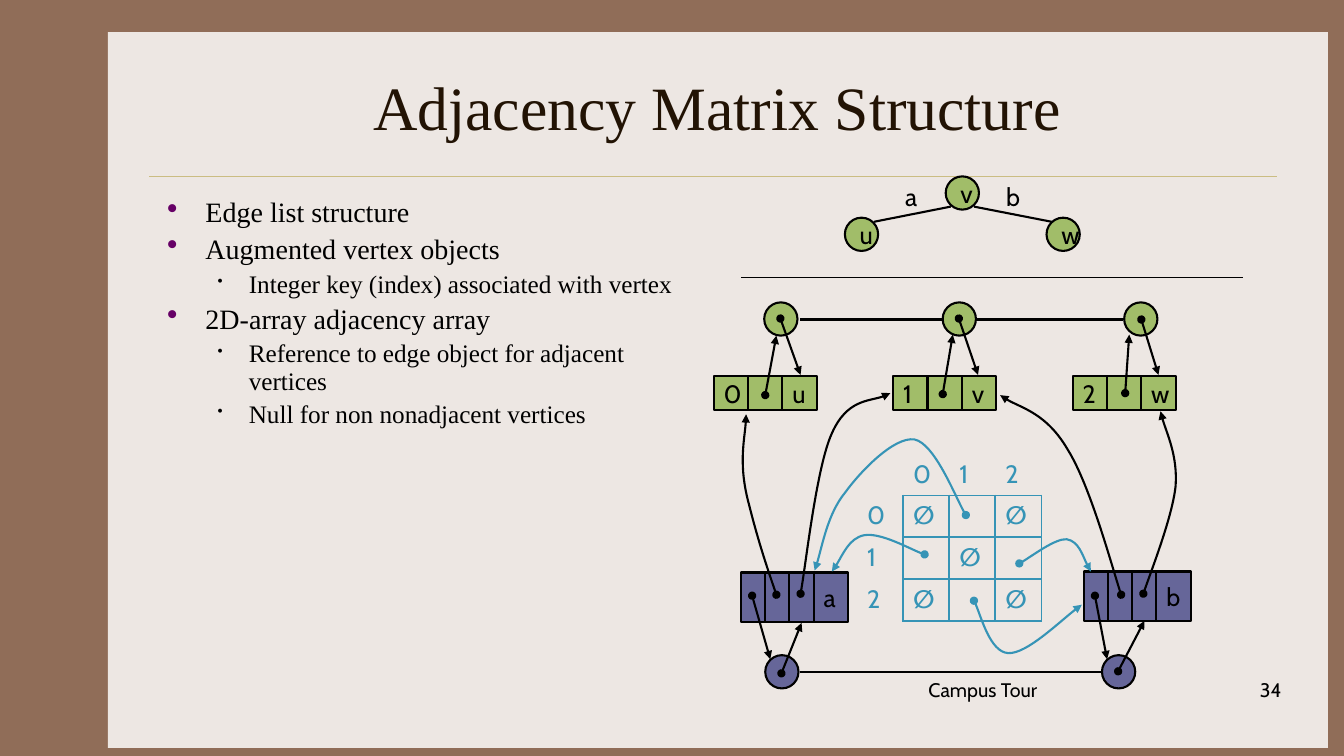
from itertools import product
from lxml.etree import SubElement
from pptx import Presentation
from pptx.dml.color import RGBColor
from pptx.enum.shapes import MSO_CONNECTOR, MSO_SHAPE
from pptx.enum.text import MSO_ANCHOR, PP_ALIGN
from pptx.oxml.ns import qn
from pptx.util import Inches, Pt

BROWN = RGBColor(0x90, 0x6D, 0x58)
CREAM = RGBColor(0xED, 0xE7, 0xE3)
GOLD = RGBColor(0xCB, 0xBD, 0x83)
TITLE_BROWN = RGBColor(0x22, 0x13, 0x04)
PURPLE = RGBColor(0x66, 0x00, 0x66)
BLACK = RGBColor(0x00, 0x00, 0x00)
GREEN = RGBColor(0xA1, 0xBD, 0x69)
VIOLET = RGBColor(0x66, 0x66, 0x99)
BLUE = RGBColor(0x36, 0x94, 0xB6)

SERIF = "Times New Roman"
SANS = "Cabin"
CIRCLE = 0.33
VERTEX_CELL = 0.34
EDGE_CELL = 0.24
PLAIN_TABLE = "{2D5ABB26-0587-4C30-8999-92F81FD0307C}"

BULLETS = [
    (0, "Edge list structure"),
    (0, "Augmented vertex objects"),
    (1, "Integer key (index) associated with vertex"),
    (0, "2D-array adjacency array"),
    (1, "Reference to edge object for adjacent vertices"),
    (1, "Null for non nonadjacent vertices"),
]
BULLET_LEVELS = [
    (0.38, -0.38, PURPLE, 110, 20, 4.6),
    (0.81, -0.31, BLACK, 60, 18, 4.2),
]
MATRIX = [
    ["", "0", "1", "2"],
    ["0", "∅", "", "∅"],
    ["1", "", "∅", ""],
    ["2", "∅", "", "∅"],
]
POINTERS = [
    ((7.75, 6.68), (7.95, 6.18)),
    ((11.09, 6.66), (11.35, 6.16)),
    ((7.74, 3.16), (7.94, 3.72)),
    ((9.51, 3.16), (9.7, 3.72)),
    ((11.32, 3.17), (11.49, 3.72)),
    ((7.59, 3.92), (7.7, 3.33)),
    ((9.35, 3.91), (9.45, 3.32)),
    ((11.16, 3.9), (11.2, 3.32)),
    ((7.46, 5.91), (7.64, 6.54)),
    ((10.86, 5.91), (10.98, 6.54)),
]
VERTEX_CURVES = [
    [(7.94, 5.89), (7.99, 5.62), (8.1, 4.63), (8.25, 4.3),
     (8.4, 3.96), (8.71, 3.98), (8.83, 3.9)],
    [(7.7, 5.9), (7.65, 5.75), (7.53, 5.41), (7.43, 5.01),
     (7.32, 4.61), (7.4, 4.3), (7.4, 4.11)],
    [(11.12, 5.9), (11.04, 5.66), (10.81, 4.81), (10.59, 4.46),
     (10.38, 4.1), (10.06, 4.03), (9.92, 3.92)],
    [(11.34, 5.89), (11.4, 5.71), (11.63, 5.12), (11.66, 4.82),
     (11.68, 4.52), (11.54, 4.23), (11.51, 4.08)],
]
MATRIX_CURVES = [
    [(9.17, 5.5), (9.07, 5.47), (8.73, 5.28), (8.57, 5.31),
     (8.42, 5.34), (8.32, 5.59), (8.25, 5.67)],
    [(9.58, 5.11), (9.5, 4.99), (9.27, 4.4), (9.07, 4.36), (8.87, 4.33),
     (8.54, 4.67), (8.38, 4.89), (8.21, 5.1), (8.14, 5.5), (8.08, 5.66)],
    [(10.11, 5.59), (10.19, 5.55), (10.47, 5.34), (10.58, 5.35),
     (10.7, 5.37), (10.77, 5.6), (10.82, 5.67)],
    [(9.66, 5.96), (9.71, 6.04), (9.82, 6.47), (10, 6.48),
     (10.18, 6.49), (10.58, 6.1), (10.73, 6)],
]


def set_font(font, size, color=BLACK, name=SANS, bold=False):
    font.size, font.name, font.bold = Pt(size), name, bold
    font.color.rgb = color


def add_text(page, area, text, size, color=BLACK, name=SANS,
             align=PP_ALIGN.LEFT, anchor=MSO_ANCHOR.TOP, wrap=True):
    frame = page.shapes.add_textbox(*map(Inches, area)).text_frame
    frame.word_wrap, frame.vertical_anchor = wrap, anchor
    para = frame.paragraphs[0]
    para.text, para.alignment = text, align
    set_font(para.font, size, color, name)


def add_bullets(page):
    area = map(Inches, (1.56, 1.92, 5.44, 4.5))
    frame = page.shapes.add_textbox(*area).text_frame
    frame.word_wrap = True
    for index, (level, text) in enumerate(BULLETS):
        margin, indent, color, percent, size, gap = BULLET_LEVELS[level]
        para = frame.add_paragraph() if index else frame.paragraphs[0]
        para.text, para.level, para.line_spacing = text, level, 0.9
        if index:
            para.space_before = Pt(gap)
        props = para._p.get_or_add_pPr()
        props.set("marL", str(Inches(margin)))
        props.set("indent", str(Inches(indent)))
        SubElement(SubElement(props, qn("a:buClr")), qn("a:srgbClr"), val=str(color))
        SubElement(props, qn("a:buSzPct"), val=str(percent * 1000))
        SubElement(props, qn("a:buChar"), char="•")
        set_font(para.font, size, name=SERIF)


def add_node(page, kind, area, fill, text="", outlined=True):
    node = page.shapes.add_shape(kind, *map(Inches, area))
    node.shadow.inherit = False
    node.fill.solid()
    node.fill.fore_color.rgb = fill
    if outlined:
        node.line.color.rgb, node.line.width = BLACK, Pt(1.5)
    else:
        node.line.fill.background()
    if text:
        frame = node.text_frame
        frame.word_wrap, frame.vertical_anchor = False, MSO_ANCHOR.MIDDLE
        para = frame.paragraphs[0]
        para.text, para.alignment = text, PP_ALIGN.LEFT
        set_font(para.font, 18)


def add_circle(page, left, top, fill, text=""):
    add_node(page, MSO_SHAPE.OVAL, (left, top, CIRCLE, CIRCLE), fill, text)


def style_stroke(line, color, width, arrow):
    line.color.rgb, line.width = color, Pt(width)
    if arrow:
        stroke = line._get_or_add_ln()
        SubElement(stroke, qn("a:headEnd"), type="oval")
        SubElement(stroke, qn("a:tailEnd"), type="triangle")


def add_line(page, start, end, color=BLACK, width=1.5, arrow=False):
    link = page.shapes.add_connector(MSO_CONNECTOR.STRAIGHT, *map(Inches, start + end))
    style_stroke(link.line, color, width, arrow)
    SubElement(link._element.spPr, qn("a:effectLst"))


def add_curve(page, points, color):
    start, *rest = [(Inches(x), Inches(y)) for x, y in points]
    builder = page.shapes.build_freeform(*start)
    builder.add_line_segments(rest, close=False)
    curve = builder.convert_to_shape()
    outline = curve._element.spPr.find(".//" + qn("a:path"))
    for index, segment in enumerate(outline.findall(qn("a:lnTo"))):
        if index % 3 == 0:
            bezier = SubElement(outline, qn("a:cubicBezTo"))
        bezier.append(segment[0])
        outline.remove(segment)
    curve.fill.background()
    curve.shadow.inherit = False
    style_stroke(curve.line, color, 1.5, True)


def add_border(cell, sides):
    props = cell._tc.get_or_add_tcPr()
    for side in sides:
        stroke = SubElement(props, qn("a:ln" + side), w=str(Pt(1.5)))
        SubElement(SubElement(stroke, qn("a:solidFill")), qn("a:srgbClr"), val=str(BLUE))


def add_matrix(page):
    area = map(Inches, (8.5, 4.5, 1.83, 1.66))
    table = page.shapes.add_table(4, 4, *area).table
    table.first_row = table.horz_banding = False
    table._tbl.tblPr.find(qn("a:tableStyleId")).text = PLAIN_TABLE
    for row, col in product(range(4), repeat=2):
        cell = table.cell(row, col)
        if row and col:
            add_border(cell, "LRTB")
        elif row:
            add_border(cell, "R")
        elif col:
            add_border(cell, "B")
        cell.fill.background()
        para = cell.text_frame.paragraphs[0]
        para.text = MATRIX[row][col]
        set_font(para.font, 18, BLUE, bold=bool(row and col))


def add_vertex_record(page, left, key, name):
    for index, text in enumerate((key, "", name)):
        area = (left + index * VERTEX_CELL, 3.73, VERTEX_CELL, VERTEX_CELL)
        add_node(page, MSO_SHAPE.RECTANGLE, area, GREEN, text)


def add_edge_record(page, left, top, name):
    for index, (text, width) in enumerate([("", EDGE_CELL)] * 3 + [(name, 0.34)]):
        area = (left + index * EDGE_CELL, top, width, 0.49)
        add_node(page, MSO_SHAPE.RECTANGLE, area, VIOLET, text)


def add_graph(page):
    for name, left, top in (("u", 8.38, 2.16), ("v", 9.38, 1.75), ("w", 10.38, 2.16)):
        add_circle(page, left, top, GREEN, name)
    add_line(page, (9.66, 2.05), (10.43, 2.2))
    add_line(page, (9.43, 2.05), (8.67, 2.2))
    for name, left in (("a", 8.88), ("b", 9.88)):
        add_text(page, (left, 1.75, 0.33, 0.4), name, 18, wrap=False)


def add_structure(page):
    add_matrix(page)
    add_line(page, (10.92, 6.67), (7.93, 6.67))
    add_line(page, (11.14, 3.17), (7.93, 3.17))
    for left in (7.58, 9.35, 11.15):
        add_circle(page, left, 3, GREEN)
    for left in (7.59, 10.93):
        add_circle(page, left, 6.5, VIOLET)
    for index, name in enumerate("uvw"):
        add_vertex_record(page, 7.08 + index * 1.78, str(index), name)
    add_edge_record(page, 7.35, 5.68, "a")
    add_edge_record(page, 10.75, 5.67, "b")
    for start, end in POINTERS:
        add_line(page, start, end, arrow=True)
    for curves, color in ((VERTEX_CURVES, BLACK), (MATRIX_CURVES, BLUE)):
        for points in curves:
            add_curve(page, points, color)


def main():
    deck = Presentation()
    deck.slide_width, deck.slide_height = Inches(13.33), Inches(7.5)
    page = deck.slides.add_slide(deck.slide_layouts[6])
    page.background.fill.solid()
    page.background.fill.fore_color.rgb = BROWN
    add_node(page, MSO_SHAPE.RECTANGLE, (1.07, 0.32, 12.1, 7.1), CREAM, outlined=False)
    add_line(page, (1.48, 1.75), (12.67, 1.75), GOLD, 0.25)
    add_text(page, (1.56, 0.42, 11.11, 1.25), "Adjacency Matrix Structure", 44,
             TITLE_BROWN, SERIF, PP_ALIGN.CENTER, MSO_ANCHOR.MIDDLE)
    add_bullets(page)
    add_text(page, (10.03, 6.68, 2.78, 0.5), "34", 14, align=PP_ALIGN.RIGHT)
    add_text(page, (9.11, 6.68, 4.22, 0.5), "Campus Tour", 14)
    add_graph(page)
    add_line(page, (7.35, 2.75), (12.33, 2.75), width=0.75)
    add_structure(page)
    deck.save("out.pptx")


if __name__ == "__main__":
    main()
